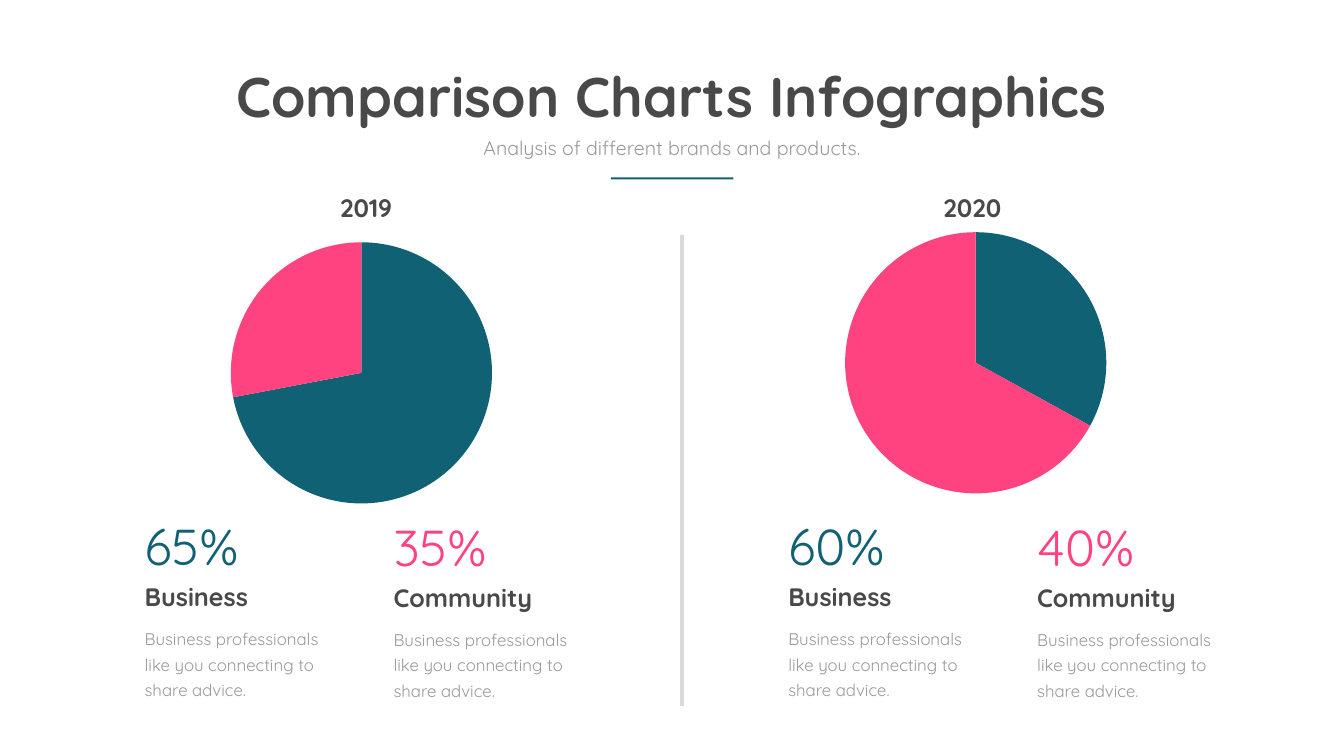
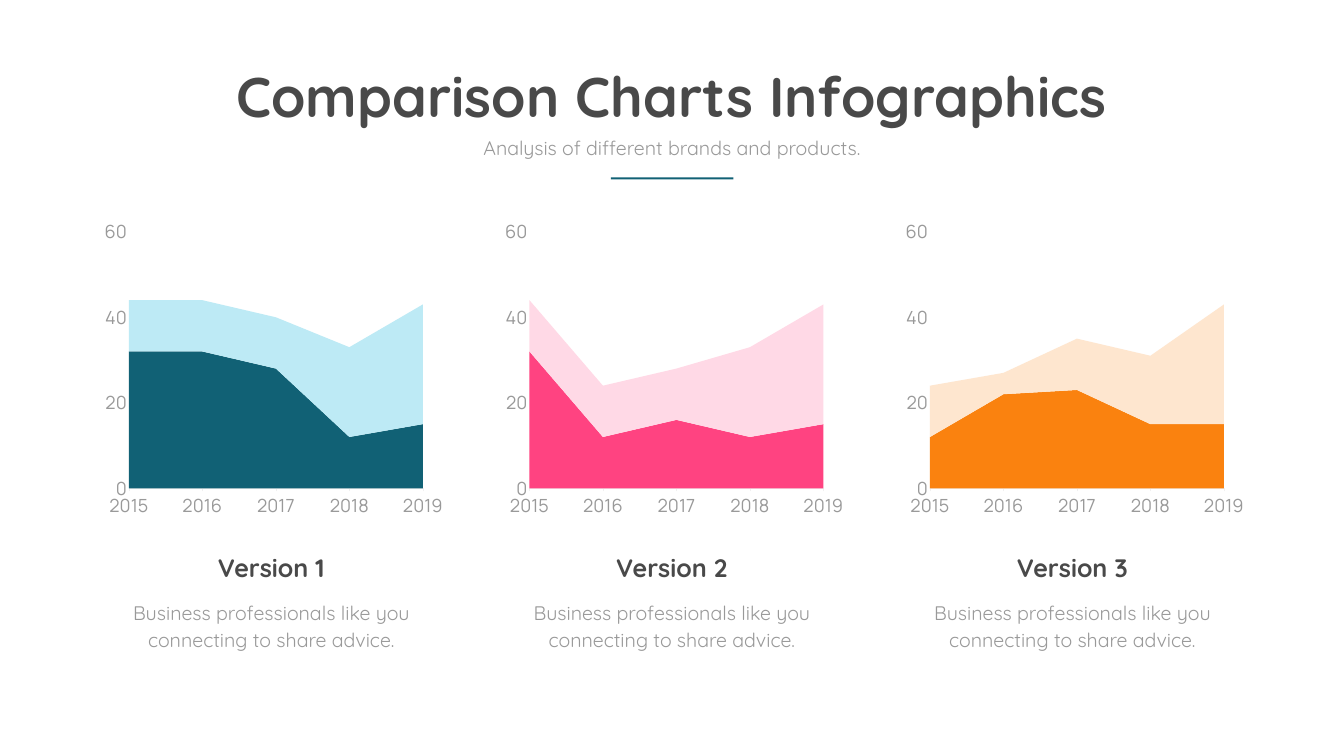
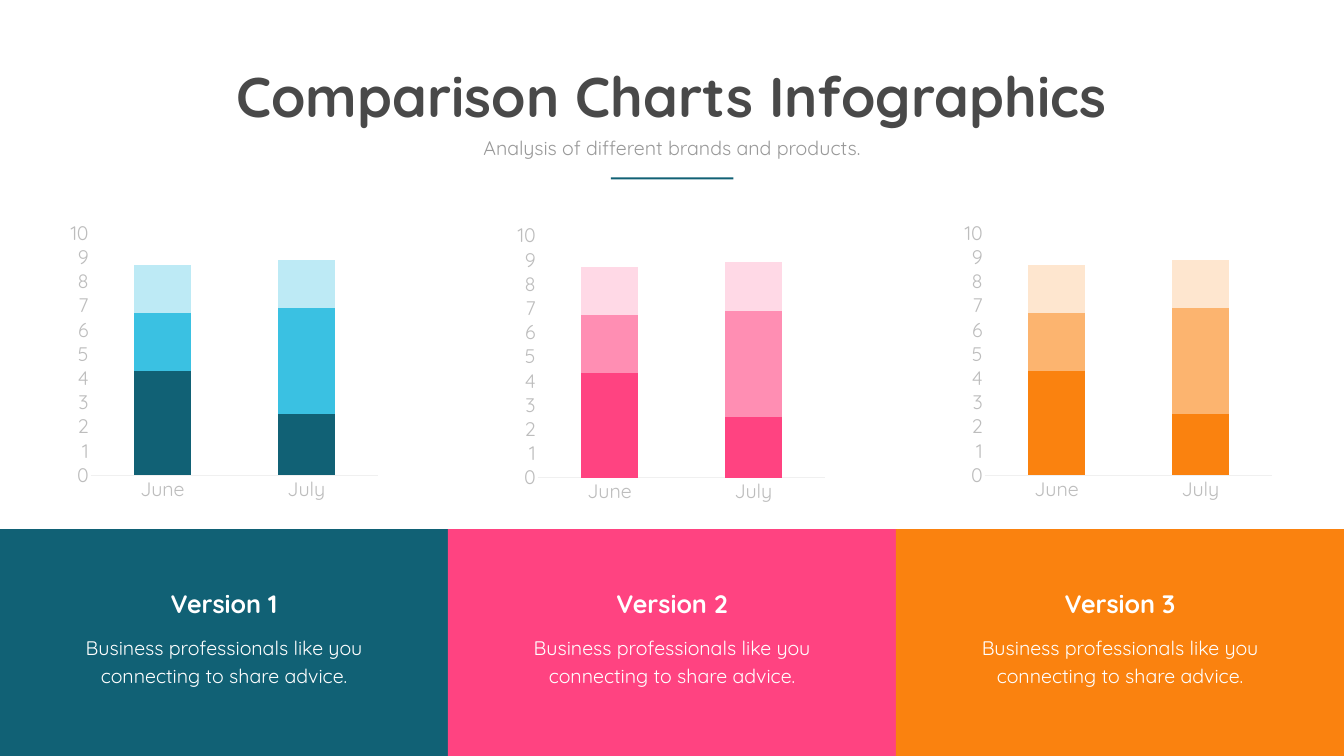
import pptx
import pptx.chart.data
import pptx.dml.color
import pptx.enum.chart
import pptx.enum.shapes
import pptx.enum.text
import pptx.oxml
import pptx.oxml.ns
import pptx.util

Pt = pptx.util.Pt
RGB = pptx.dml.color.RGBColor
KIND = pptx.enum.chart.XL_CHART_TYPE
TICK = pptx.enum.chart.XL_TICK_MARK
ALIGN = pptx.enum.text.PP_ALIGN
qn = pptx.oxml.ns.qn

# Colours and fonts
TEAL, SKY, ICE = RGB(0x11, 0x61, 0x75), RGB(0x3A, 0xC1, 0xE2), RGB(0xBD, 0xEA, 0xF5)
PINK, ROSE, BLUSH = RGB(0xFF, 0x43, 0x81), RGB(0xFF, 0x8E, 0xB3), RGB(0xFF, 0xD9, 0xE6)
ORANGE, PEACH, CREAM = RGB(0xFA, 0x82, 0x0F), RGB(0xFC, 0xB4, 0x6F), RGB(0xFE, 0xE6, 0xCF)
DARK, GREY, SILVER = RGB(0x49, 0x49, 0x49), RGB(0x99, 0x99, 0x99), RGB(0xBD, 0xBD, 0xBD)
RULE, PALE, WHITE = RGB(0xD9, 0xD9, 0xD9), RGB(0xF0, 0xF0, 0xF0), RGB(0xFF, 0xFF, 0xFF)
FONT, PLAIN, AXIS = "Quicksand", "Calibri", "Manrope"

# Content
WIDE, HIGH = 1920, 1080
TITLE = "Comparison Charts Infographics"
LEAD = "Analysis of different brands and products."
NOTE = "Business professionals like you connecting to share advice."
PARTS = [("Business", TEAL), ("Community", PINK)]
# year, year left, pie left and top, pie values, stats left, stats
YEARS = [
    ("2019", 347, 221.8, 336.2, (72, 28), 199.5, ("65%", "35%")),
    ("2020", 1213.2, 1099.4, 321.8, (33, 67), 1119, ("60%", "40%")),
]
DATES = ["2015", "2016", "2017", "2018", "2019"]
MONTHS = ["June", "July"]
BARS = [(4.3, 2.5), (2.4, 4.4), (2, 2)]
# name, shades from dark to light, area values
PLANS = [
    ("Version 1", (TEAL, SKY, ICE), [(32, 32, 28, 12, 15), (12, 12, 12, 21, 28)]),
    ("Version 2", (PINK, ROSE, BLUSH), [(32, 12, 16, 12, 15), (12, 12, 12, 21, 28)]),
    ("Version 3", (ORANGE, PEACH, CREAM), [(12, 22, 23, 15, 15), (12, 5, 12, 16, 28)]),
]


def points(*nums):
    return [Pt(num) for num in nums]


def write(home, box, text, size, color, bold=False, align=ALIGN.LEFT, lead=None, wrap=True):
    frame = home.add_textbox(*points(*box)).text_frame
    frame.word_wrap = wrap
    frame.auto_size = pptx.enum.text.MSO_AUTO_SIZE.SHAPE_TO_FIT_TEXT
    para = frame.paragraphs[0]
    para.text, para.alignment = text, align
    if lead:
        para.line_spacing = Pt(lead)
    style(para.font, FONT, size, color)
    para.font.bold = bold


def style(font, name, size, color):
    font.name, font.size = name, Pt(size)
    font.color.rgb = color


def block(slide, box, color):
    shape = slide.shapes.add_shape(pptx.enum.shapes.MSO_SHAPE.RECTANGLE, *points(*box))
    shape.shadow.inherit = False
    shape.fill.solid()
    shape.fill.fore_color.rgb = color
    shape.line.fill.background()


def paint(item, color):
    item.format.fill.solid()
    item.format.fill.fore_color.rgb = color


def plot(slide, kind, box, cats, rows, font):
    data = pptx.chart.data.CategoryChartData()
    data.categories = cats
    for num, row in enumerate(rows, 1):
        data.add_series(f"Series {num}", row)
    chart = slide.shapes.add_chart(kind, *points(*box), data).chart
    chart.has_legend = chart.has_title = False
    style(chart.font, *font)
    return chart


def stack(slide, kind, box, cats, rows, shades, font, top, step):
    chart = plot(slide, kind, box, cats, rows, font)
    for series, shade in zip(chart.plots[0].series, shades):
        paint(series, shade)
    base, side = chart.category_axis, chart.value_axis
    for axis in (base, side):
        axis.has_major_gridlines = False
        axis.major_tick_mark = axis.minor_tick_mark = TICK.NONE
        style(axis.tick_labels.font, *font)
    base.format.line.color.rgb = PALE
    base.format.line.width = Pt(0.75)
    side.format.line.fill.background()
    side.minimum_scale, side.maximum_scale, side.major_unit = 0, top, step
    return chart


def place(chart, **spots):
    """Fix the inner plot area as shares of the chart."""
    area = chart.element.find(".//" + qn("c:plotArea"))
    for old in area.findall(qn("c:layout")):
        area.remove(old)
    tags = '<c:layoutTarget val="inner"/><c:xMode val="edge"/><c:yMode val="edge"/>'
    tags += "".join(f'<c:{key} val="{num}"/>' for key, num in spots.items())
    names = pptx.oxml.ns.nsdecls("c")
    area.insert(0, pptx.oxml.parse_xml(
        f"<c:layout {names}><c:manualLayout>{tags}</c:manualLayout></c:layout>"))


def caption(slide, mid, top, name, ink, tone):
    home = slide.shapes.add_group_shape().shapes
    write(home, (mid - 207.4, top + 64, 414.8, 85), NOTE, 28, tone, align=ALIGN.CENTER, lead=38.6)
    write(home, (mid - 158.4, top, 316.8, 51), name, 36, ink, True, ALIGN.CENTER)


def start(deck):
    """Blank slide with the shared heading."""
    slide = deck.slides.add_slide(deck.slide_layouts[6])
    slide.background.fill.solid()
    slide.background.fill.fore_color.rgb = WHITE
    write(slide.shapes, (322, 84.2, 1275, 104.4), TITLE, 80, DARK, True, ALIGN.CENTER, wrap=False)
    write(slide.shapes, (615.6, 190.8, 688.4, 41), LEAD, 28, GREY, align=ALIGN.CENTER)
    block(slide, (872.6, 253.4, 175, 3), TEAL)
    return slide


def pies(deck):
    slide = start(deck)
    for year, left, x, y, vals, edge, stats in YEARS:
        chart = plot(slide, KIND.PIE, (x, y, 589, 393), ["1", "2"], [vals], (PLAIN, 10, GREY))
        chart.plots[0].vary_by_categories = True
        for num, (name, color) in enumerate(PARTS):
            paint(chart.plots[0].series[0].points[num], color)
        # Share, name and note under the pie
        home = slide.shapes.add_group_shape().shapes
        for num, (name, color) in enumerate(PARTS):
            col = edge + 355.6 * num
            write(home, (col, 732.3 + num, 180.7, 94.3), stats[num], 72, color)
            write(home, (col, 887 + num, 287.3, 117.4), NOTE, 24, GREY, lead=36.6)
            write(home, (col, 826.8 + num, 287.3, 51), name, 36, DARK, True)
        write(slide.shapes, (left, 270.7, 352, 51), year, 36, DARK, True, ALIGN.CENTER)
    # Divider
    line = slide.shapes.add_connector(
        pptx.enum.shapes.MSO_CONNECTOR.STRAIGHT, *points(974.2, 336.2, 974.2, 1008))
    line.line.color.rgb, line.line.width = RULE, Pt(6)
    line.element.spPr.append(pptx.oxml.parse_xml(
        f'<a:effectLst {pptx.oxml.ns.nsdecls("a")}/>'))


def areas(deck):
    slide = start(deck)
    for num, (name, shades, rows) in enumerate(PLANS):
        mid = 387.5 + 572.2 * num
        chart = stack(slide, KIND.AREA_STACKED, (mid - 245.1, 313.2, 490.2, 442.1), DATES,
                      rows, (shades[0], shades[2]), (AXIS, 26, GREY), 60, 20)
        chart.category_axis.major_tick_mark = TICK.OUTSIDE
        chart.element.find(".//" + qn("c:crossBetween")).set("val", "midCat")
        place(chart, x=0.086, y=0.036, w=0.865, h=0.833)
        caption(slide, mid, 785.5, name, DARK, GREY)


def columns(deck):
    slide = start(deck)
    band = WIDE / len(PLANS)
    for num, (name, shades, rows) in enumerate(PLANS):
        top = 311 if num == 1 else 307.4
        chart = stack(slide, KIND.COLUMN_STACKED, (91.6 + 638.6 * num, top, 457.9, 416.9),
                      MONTHS, BARS, shades, (FONT, 28, SILVER), 10, 1)
        chart.plots[0].gap_width, chart.plots[0].overlap = 150, 100
        block(slide, (band * num, 756, band, HIGH - 756), shades[0])
        caption(slide, band * (num + 0.5), 836.6, name, WHITE, WHITE)


def main():
    deck = pptx.Presentation()
    deck.slide_width, deck.slide_height = points(WIDE, HIGH)
    for build in (pies, areas, columns):
        build(deck)
    deck.save("out.pptx")


if __name__ == "__main__":
    main()
